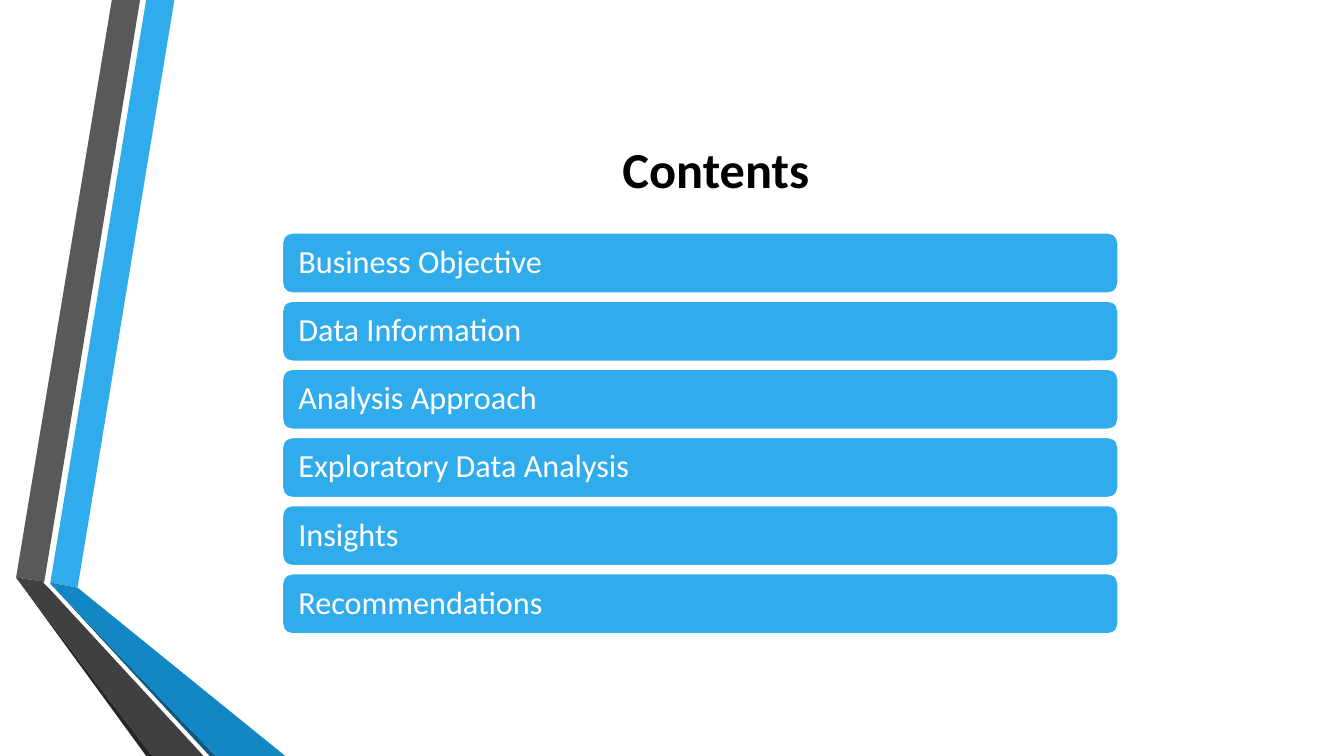
from pptx import Presentation
from pptx.dml.color import RGBColor
from pptx.enum.shapes import MSO_SHAPE
from pptx.enum.text import MSO_ANCHOR, PP_ALIGN
from pptx.util import Inches, Pt

BLUE, WHITE, BLACK = "30ACEC", "FFFFFF", "000000"

RIBBONS = [
    (BLUE, [(0.5, 5.78), (0.77, 5.83), (1.73, 0), (1.45, 0)]),
    ("595959", [(1.39, 0), (1.11, 0), (0.16, 5.73), (0.44, 5.77)]),
    ("262626", [(0.16, 5.73), (1.45, 7.5), (1.51, 7.5)]),
    ("0C5A82", [(0.5, 5.79), (2.08, 7.5), (2.14, 7.5)]),
    ("1287C3", [(0.5, 5.79), (2.14, 7.5), (2.83, 7.5), (0.77, 5.83), (0.5, 5.78)]),
    ("404040", [(2.02, 7.5), (0.48, 5.83), (0.43, 5.78), (0.44, 5.77), (0.16, 5.73), (1.51, 7.5)]),
]

TOPICS = [
    "Business Objective",
    "Data Information",
    "Analysis Approach",
    "Exploratory Data Analysis",
    "Insights",
    "Recommendations",
]
BAR_LEFT, BAR_TOP, BAR_WIDTH, BAR_HEIGHT = 2.8, 2.31, 8.29, 0.6
BAR_PITCH = 0.676


def color(value):
    """Return the colour for a hex string."""
    return RGBColor.from_string(value)


def set_attributes(target, values):
    """Set each named attribute of the target."""
    for name, value in values.items():
        setattr(target, name, value)


def write_text(shape, text, font, alignment, margin):
    """Fill a shape with one vertically centred, formatted paragraph."""
    frame = shape.text_frame
    frame.text = text
    set_attributes(frame, {
        "word_wrap": True,
        "vertical_anchor": MSO_ANCHOR.MIDDLE,
        "margin_left": margin,
        "margin_right": margin,
    })
    paragraph = frame.paragraphs[0]
    set_attributes(paragraph, {"alignment": alignment, "line_spacing": 0.9})
    run = paragraph.runs[0]
    set_attributes(run.font, {"name": "Calibri", **font["format"]})
    run.font.color.rgb = color(font["color"])


def paint(shape, fill):
    """Give a shape a solid fill and no shadow."""
    shape.shadow.inherit = False
    shape.fill.solid()
    shape.fill.fore_color.rgb = color(fill)


def add_ribbon(slide, fill, points):
    """Draw one closed piece of the folded ribbons."""
    corners = [(Inches(x), Inches(y)) for x, y in points]
    builder = slide.shapes.build_freeform(*corners[0])
    builder.add_line_segments(corners[1:], close=True)
    shape = builder.convert_to_shape()
    paint(shape, fill)
    shape.line.fill.background()


def add_title(slide, text):
    """Place and format the slide title."""
    title = slide.shapes.title
    set_attributes(title, {
        "left": Inches(1.62),
        "top": Inches(0.75),
        "width": Inches(10.96),
        "height": Inches(1.92),
    })
    font = {"format": {"size": Pt(36), "bold": True}, "color": BLACK}
    write_text(title, text, font, PP_ALIGN.CENTER, Inches(0.1))


def add_topic_bar(slide, index, text):
    """Draw the rounded bar of one topic."""
    bar = slide.shapes.add_shape(
        MSO_SHAPE.ROUNDED_RECTANGLE,
        Inches(BAR_LEFT),
        Inches(BAR_TOP + index * BAR_PITCH),
        Inches(BAR_WIDTH),
        Inches(BAR_HEIGHT),
    )
    paint(bar, BLUE)
    bar.line.color.rgb = color(WHITE)
    bar.line.width = Pt(1.25)
    font = {"format": {"size": Pt(23)}, "color": WHITE}
    write_text(bar, text, font, PP_ALIGN.LEFT, Inches(0.13))


def main():
    """Build the contents slide and save it."""
    presentation = Presentation()
    presentation.slide_width = Inches(13.33)
    presentation.slide_height = Inches(7.5)
    slide = presentation.slides.add_slide(presentation.slide_layouts[5])
    for fill, points in RIBBONS:
        add_ribbon(slide, fill, points)
    add_title(slide, "Contents")
    for index, topic in enumerate(TOPICS):
        add_topic_bar(slide, index, topic)
    presentation.save("out.pptx")


if __name__ == "__main__":
    main()
